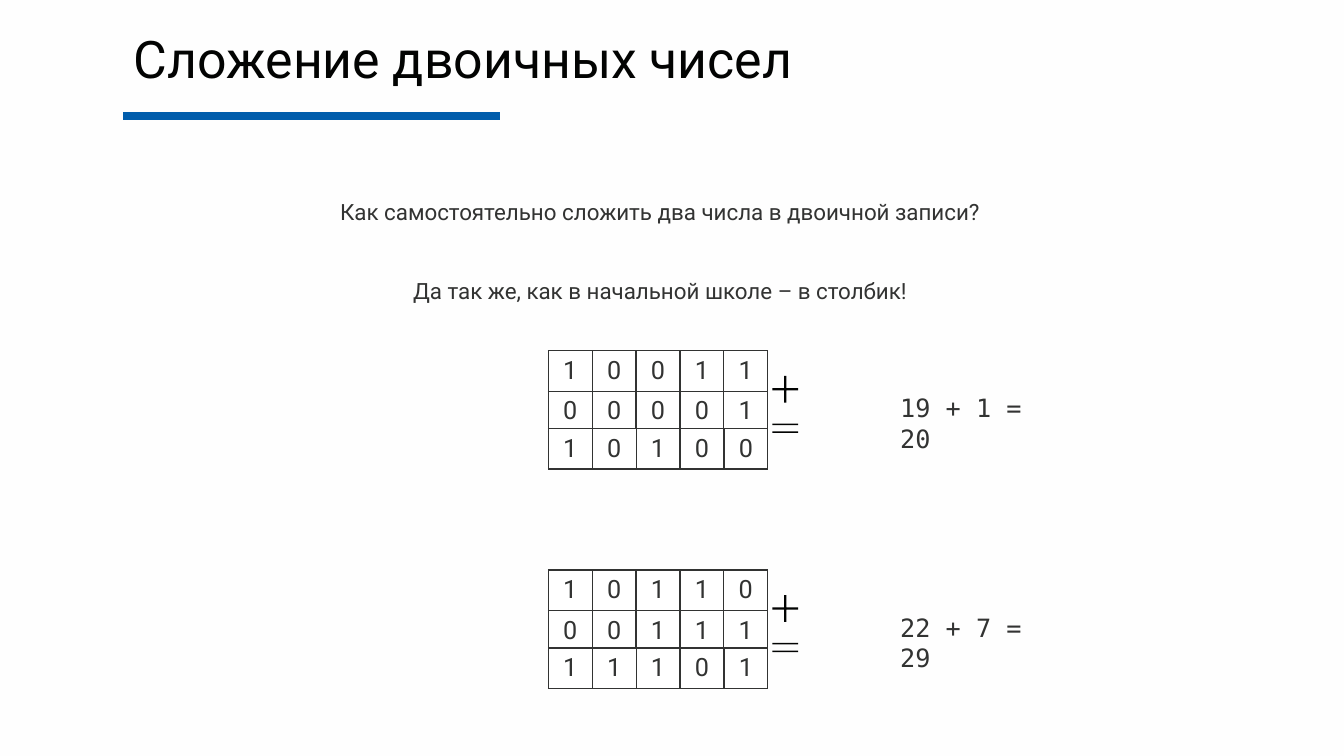
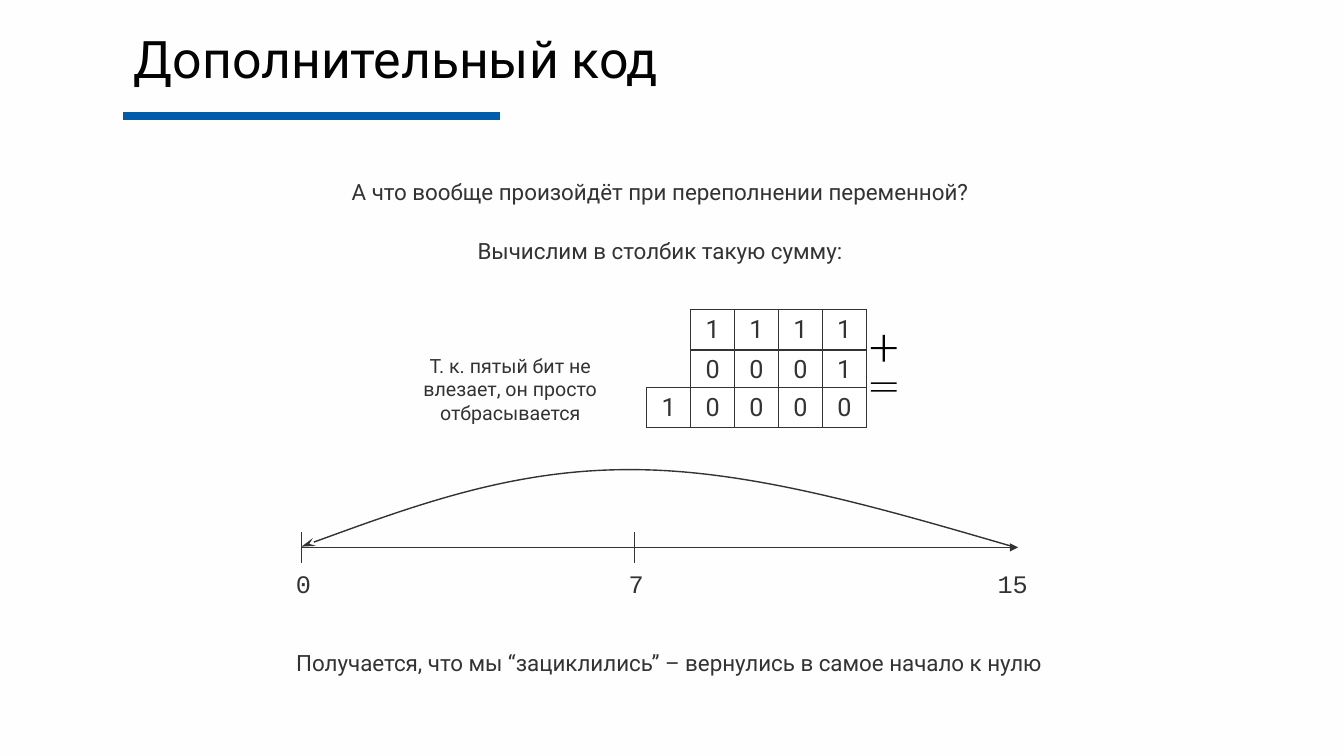
"""Build two slides on binary addition and overflow."""
import pptx
import pptx.dml.color
import pptx.enum.shapes
import pptx.enum.text
import pptx.oxml.ns
import pptx.util
from lxml import etree

Pt = pptx.util.Pt
RGBColor = pptx.dml.color.RGBColor
qn = pptx.oxml.ns.qn
ALIGN = pptx.enum.text.PP_ALIGN
ANCHOR = pptx.enum.text.MSO_ANCHOR
AUTO_SIZE = pptx.enum.text.MSO_AUTO_SIZE
SHAPE = pptx.enum.shapes.MSO_SHAPE
STRAIGHT = pptx.enum.shapes.MSO_CONNECTOR.STRAIGHT

BACKGROUND = RGBColor(0xFE, 0xFE, 0xFE)
ACCENT = RGBColor(0x01, 0x5D, 0xAC)
BLACK = RGBColor(0x02, 0x03, 0x02)
INK = RGBColor(0x32, 0x33, 0x32)
WHITE = RGBColor(0xFF, 0xFF, 0xFF)

SANS = "Roboto"
MONO = "DejaVu Sans Mono"
TYPEWRITER = "Courier New"
PLAIN_TABLE_STYLE = "{2D5ABB26-0587-4C30-8999-92F81FD0307C}"

CONTENT_LEFT, CONTENT_WIDTH = 88.5, 766
CELL_WIDTH, CELL_HEIGHT = 31.35, 27.8
SIGN_WIDTH, SIGN_HEIGHT = 25, 26


def style_text(text_frame, size, color=INK, font=SANS, align=ALIGN.LEFT):
    """Format every run of a text frame."""
    for paragraph in text_frame.paragraphs:
        paragraph.alignment = align
        for run in paragraph.runs:
            run.font.size = Pt(size)
            run.font.name = font
            run.font.color.rgb = color


def add_text(slide, text, left, top, width, height, size=16, font=SANS, align=ALIGN.CENTER):
    """Add a wrapping text box with narrow margins."""
    text_frame = slide.shapes.add_textbox(Pt(left), Pt(top), Pt(width), Pt(height)).text_frame
    text_frame.word_wrap = True
    text_frame.auto_size = AUTO_SIZE.SHAPE_TO_FIT_TEXT
    text_frame.margin_left = text_frame.margin_right = Pt(3.6)
    text_frame.margin_top = text_frame.margin_bottom = Pt(3.6)
    text_frame.text = text
    style_text(text_frame, size, font=font, align=align)


def add_statement(slide, text, top, left=CONTENT_LEFT):
    """Add a centred sentence across the content width."""
    add_text(slide, text, left, top, CONTENT_WIDTH, 26.5)


def add_arrowhead(shape, kind, length="med"):
    """Put an arrowhead at the end of a line."""
    line = shape.element.find(".//" + qn("a:ln"))
    etree.SubElement(line, qn("a:tailEnd"), type=kind, len=length)


def add_line(slide, start, end, color=INK, width=0.75):
    """Add a straight line without a shadow."""
    points = [Pt(value) for value in (*start, *end)]
    connector = slide.shapes.add_connector(STRAIGHT, *points)
    connector.line.color.rgb = color
    connector.line.width = Pt(width)
    etree.SubElement(connector.element.spPr, qn("a:effectLst"))
    return connector


def set_up_layout(presentation):
    """Give the master its background and the layout its title box."""
    background = presentation.slide_master.background.fill
    background.solid()
    background.fore_color.rgb = BACKGROUND
    layout = presentation.slide_layouts.get_by_name("Title Only")
    title = layout.placeholders[0]
    title.left, title.top = Pt(CONTENT_LEFT), Pt(25.2)
    title.width, title.height = Pt(CONTENT_WIDTH), Pt(43)
    return layout


def add_titled_slide(presentation, layout, title):
    """Add a slide with a title and the accent rule below it."""
    slide = presentation.slides.add_slide(layout)
    text_frame = slide.shapes.title.text_frame
    text_frame.text = title
    text_frame.auto_size = AUTO_SIZE.NONE
    text_frame.vertical_anchor = ANCHOR.MIDDLE
    text_frame.paragraphs[0].line_spacing = 0.7
    style_text(text_frame, 37, BLACK)
    add_line(slide, (88, 83), (357, 83), ACCENT, 6)
    return slide


def add_borders(cell_element):
    """Outline a table cell on all four sides."""
    properties = cell_element.get_or_add_tcPr()
    for side in ("lnL", "lnR", "lnT", "lnB"):
        border = etree.SubElement(properties, qn("a:" + side), w=str(Pt(1)))
        fill = etree.SubElement(border, qn("a:solidFill"))
        etree.SubElement(fill, qn("a:srgbClr"), val=str(INK))


def add_digit_table(slide, left, top, numbers):
    """Add a table with one number in each row and one digit in each cell."""
    columns = len(numbers[0])
    frame = slide.shapes.add_table(len(numbers), columns, Pt(left), Pt(top),
                                   Pt(columns * CELL_WIDTH), Pt(len(numbers) * CELL_HEIGHT))
    table = frame.table
    table.first_row = table.horz_banding = False
    frame.element.find(".//" + qn("a:tableStyleId")).text = PLAIN_TABLE_STYLE
    for column in table.columns:
        column.width = Pt(CELL_WIDTH)
    for row in table.rows:
        row.height = Pt(CELL_HEIGHT)
    digits = "".join(numbers)
    for cell, element, digit in zip(table.iter_cells(), frame.element.iter(qn("a:tc")), digits):
        cell.vertical_anchor = ANCHOR.MIDDLE
        add_borders(element)
        cell.fill.solid()
        cell.fill.fore_color.rgb = WHITE
        cell.text_frame.text = digit
        style_text(cell.text_frame, 18, align=ALIGN.CENTER)


def add_sign(slide, kind, left, top, adjustments):
    """Add an arithmetic sign."""
    sign = slide.shapes.add_shape(kind, Pt(left), Pt(top), Pt(SIGN_WIDTH), Pt(SIGN_HEIGHT))
    for index, value in enumerate(adjustments):
        sign.adjustments[index] = value
    sign.fill.solid()
    sign.fill.fore_color.rgb = BLACK
    sign.line.fill.background()
    sign.shadow.inherit = False


def add_column_sum(slide, left, top, operands, result):
    """Add the operands, the signs and the right-aligned result digits."""
    right = left + len(operands[0]) * CELL_WIDTH
    add_digit_table(slide, left, top, operands)
    add_sign(slide, SHAPE.MATH_PLUS, right, top + 14.5, [0.061])
    add_sign(slide, SHAPE.MATH_EQUAL, right, top + 42.3, [0.041, 0.173])
    result_top = top + len(operands) * CELL_HEIGHT
    for place, digit in enumerate(reversed(result), start=1):
        add_digit_table(slide, right - place * CELL_WIDTH, result_top, [digit])


def add_arc(slide, points):
    """Add a curved arrow through cubic Bézier points."""
    start, *others = [(Pt(x), Pt(y)) for x, y in points]
    builder = slide.shapes.build_freeform(*start)
    builder.add_line_segments(others, close=False)
    arc = builder.convert_to_shape()
    path = arc.element.find(".//" + qn("a:path"))
    segments = path.findall(qn("a:lnTo"))
    for index, segment in enumerate(segments):
        if index % 3 == 0:
            curve = etree.SubElement(path, qn("a:cubicBezTo"))
        curve.append(segment[0])
        path.remove(segment)
    arc.fill.background()
    arc.line.color.rgb = INK
    arc.line.width = Pt(1)
    arc.shadow.inherit = False
    add_arrowhead(arc, "stealth", "lg")


def add_number_line(slide, left, top, width):
    """Add the axis, its ticks and labels, and the arc back to zero."""
    axis = add_line(slide, (left, top), (left + width, top))
    add_arrowhead(axis, "triangle")
    middle = left + 237.6
    for x in (left, middle):
        add_line(slide, (x, top - 11), (x, top + 11))
    for label, center in (("0", left + 1.5), ("7", middle + 1.5), ("15", left + width - 4)):
        add_text(slide, label, center - 30, top + 11.5, 60, 28.5, 18, TYPEWRITER)
    offsets = [(510, 0), (415.5, -27.5), (321, -55.5), (236, -55.5),
               (151, -56), (75.5, -28), (0, -0.5)]
    add_arc(slide, [(left + x, top + y) for x, y in offsets])


def build_addition_slide(presentation, layout):
    """Show two column additions with their decimal results."""
    slide = add_titled_slide(presentation, layout, "Сложение двоичных чисел")
    add_statement(slide, "Как самостоятельно сложить два числа в двоичной записи?", 138)
    add_statement(slide, "Да так же, как в начальной школе – в столбик!", 194.5)
    examples = [
        (("10011", "00001"), "10100", "19 + 1 = 20"),
        (("10110", "00111"), "11101", "22 + 7 = 29"),
    ]
    left = 391.7
    for index, (operands, result, equation) in enumerate(examples):
        top = 250.6 + index * 156.6
        add_column_sum(slide, left, top, operands, result)
        add_text(slide, equation, left + 247.7, top + 26.4, 119, 29, 18, MONO, ALIGN.LEFT)


def build_overflow_slide(presentation, layout):
    """Show how an overflowing sum wraps around to zero."""
    slide = add_titled_slide(presentation, layout, "Дополнительный код")
    add_statement(slide, "А что вообще произойдёт при переполнении переменной?", 123.5)
    add_statement(slide, "Вычислим в столбик такую сумму:", 165.5)
    add_column_sum(slide, 493.4, 221.2, ("1111", "0001"), "10000")
    add_text(slide, "Т. к. пятый бит не влезает, он просто отбрасывается", 278.5, 249, 172, 58, 14)
    add_number_line(slide, 215.3, 391, 512)
    add_statement(slide, "Получается, что мы “зациклились” – вернулись в самое начало к нулю",
                  460, CONTENT_LEFT + 6.5)


def main():
    """Build and save the presentation."""
    presentation = pptx.Presentation()
    presentation.slide_width, presentation.slide_height = Pt(960), Pt(540)
    layout = set_up_layout(presentation)
    build_addition_slide(presentation, layout)
    build_overflow_slide(presentation, layout)
    presentation.save("out.pptx")


if __name__ == "__main__":
    main()
